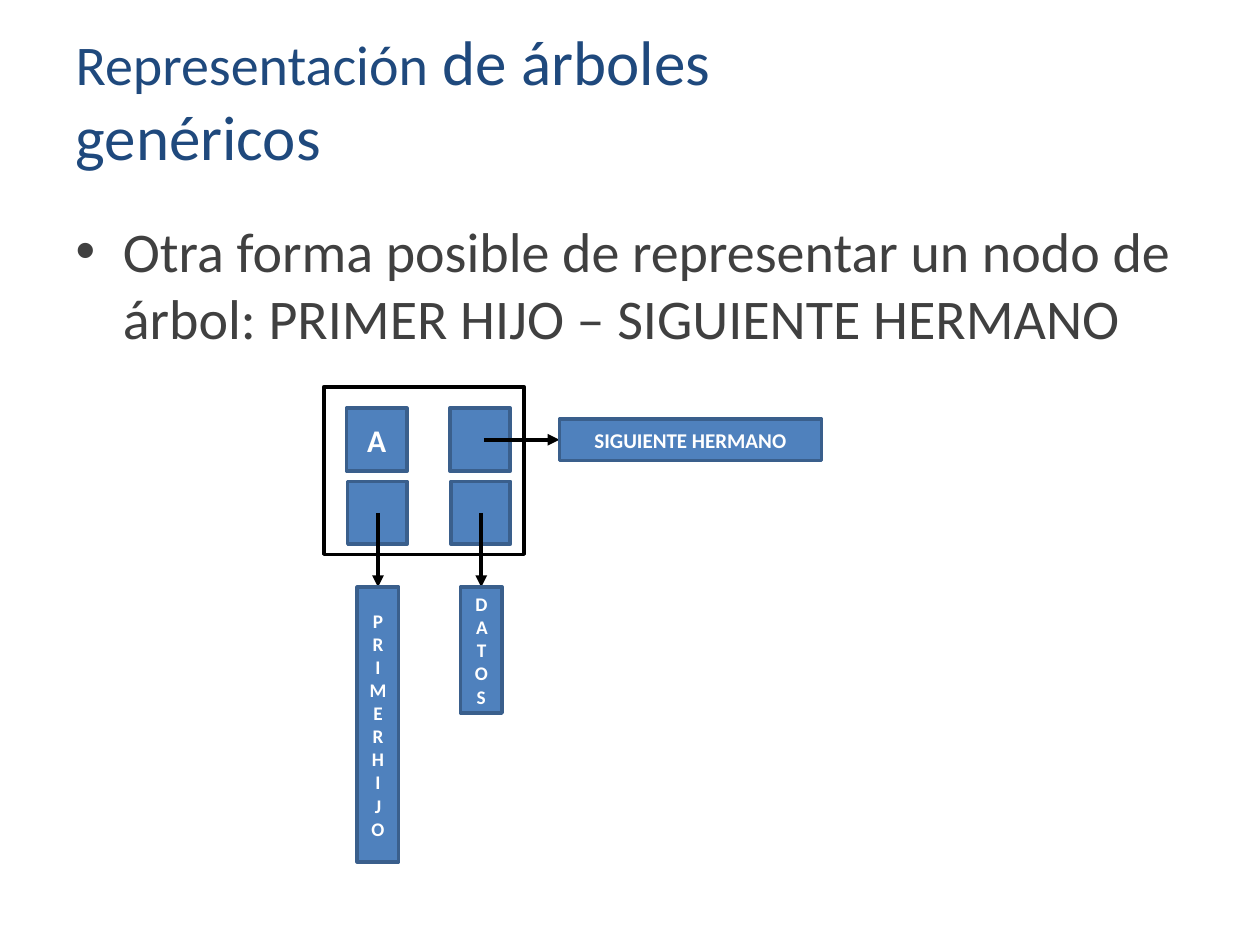
import pptx
import pptx.util
import pptx.dml.color
import pptx.enum.shapes
import pptx.enum.text
import pptx.oxml.ns
import lxml.etree

Inches = pptx.util.Inches
Pt = pptx.util.Pt
Align = pptx.enum.text.PP_ALIGN
Anchor = pptx.enum.text.MSO_ANCHOR

COLORS = {
    "title": "1F497D", "body": "404040", "node": "4F81BD",
    "edge": "3A5F8C", "white": "FFFFFF", "black": "000000",
}


def color(name):
    return pptx.dml.color.RGBColor.from_string(COLORS[name])


def apply(target, values):
    for name, value in values.items():
        setattr(target, name, value)


def style(run, size, tone, bold=False):
    apply(run.font, {"name": "Calibri", "size": Pt(size), "bold": bold})
    run.font.color.rgb = color(tone)


def place(shape, box):
    names = ("left", "top", "width", "height")
    apply(shape, {name: Inches(value) for name, value in zip(names, box)})


def header(slide, box):
    title = slide.shapes.title
    place(title, box)
    frame = title.text_frame
    apply(frame, {"word_wrap": True, "vertical_anchor": Anchor.MIDDLE,
                  "auto_size": pptx.enum.text.MSO_AUTO_SIZE.NONE})
    para = frame.paragraphs[0]
    para.alignment = Align.LEFT
    for text, size in (("Representación", 32), (" de árboles genéricos", 36)):
        run = para.add_run()
        run.text = text
        style(run, size, "title")


def body(slide, box):
    holder = slide.placeholders[1]
    place(holder, box)
    run = holder.text_frame.paragraphs[0].add_run()
    run.text = ("Otra forma posible de representar un nodo de árbol: "
                "PRIMER HIJO – SIGUIENTE HERMANO")
    style(run, 32, "body")


def block(slide, box, lines=(), size=11, fill="node", edge="edge"):
    shape = slide.shapes.add_shape(
        pptx.enum.shapes.MSO_SHAPE.RECTANGLE, *map(Inches, box))
    shape.shadow.inherit = False
    shape.fill.solid()
    shape.fill.fore_color.rgb = color(fill)
    shape.line.color.rgb = color(edge)
    shape.line.width = Pt(2)
    frame = shape.text_frame
    apply(frame, {"word_wrap": True, "vertical_anchor": Anchor.MIDDLE})
    for index, text in enumerate(lines):
        para = frame.add_paragraph() if index else frame.paragraphs[0]
        para.alignment = Align.CENTER
        run = para.add_run()
        run.text = text
        style(run, size, "white", True)


def arrow(slide, start, end):
    link = slide.shapes.add_connector(
        pptx.enum.shapes.MSO_CONNECTOR.STRAIGHT, *map(Inches, start + end))
    link.line.color.rgb = color("black")
    link.line.width = Pt(2.25)
    qn = pptx.oxml.ns.qn
    tail = lxml.etree.SubElement(link.line._get_or_add_ln(), qn("a:tailEnd"))
    tail.set("type", "triangle")
    lxml.etree.SubElement(link._element.spPr, qn("a:effectLst"))


def diagram(slide, box):
    left, top, width, height = box
    side, thick = 0.48, 0.33
    cols = (left + 0.18, left + 1)
    rows = (top + 0.17, top + 0.75)
    base = top + height + 0.26
    block(slide, box, fill="white", edge="black")
    block(slide, (cols[0], rows[0], side, 0.5), ["A"], 18)
    block(slide, (cols[1], rows[0], side, 0.5))
    mid = rows[0] + 0.25
    next_x = left + width + 0.28
    arrow(slide, (cols[1] + 0.27, mid), (next_x, mid))
    fields = ((["PR", "IMER", "HI", "JO"], 2.18), (["DATOS"], 1))
    for col, (lines, tall) in zip(cols, fields):
        axis = col + 0.25
        block(slide, (col + 0.01, rows[1], side - 0.01, 0.5))
        arrow(slide, (axis, rows[1] + 0.25), (axis, base))
        block(slide, (axis - thick / 2, base, thick, tall), lines)
    block(slide, (next_x, mid - thick / 2, 2.08, thick),
          ["SIGUIENTE HERMANO"], 12)


def main():
    deck = pptx.Presentation()
    apply(deck, {"slide_width": Inches(10), "slide_height": Inches(7.5)})
    slide = deck.slides.add_slide(deck.slide_layouts[1])
    header(slide, (0.5, 0, 7.1, 1.55))
    body(slide, (0.5, 1.67, 9, 5.46))
    diagram(slide, (2.57, 3.07, 1.59, 1.33))
    deck.save("out.pptx")


if __name__ == "__main__":
    main()
